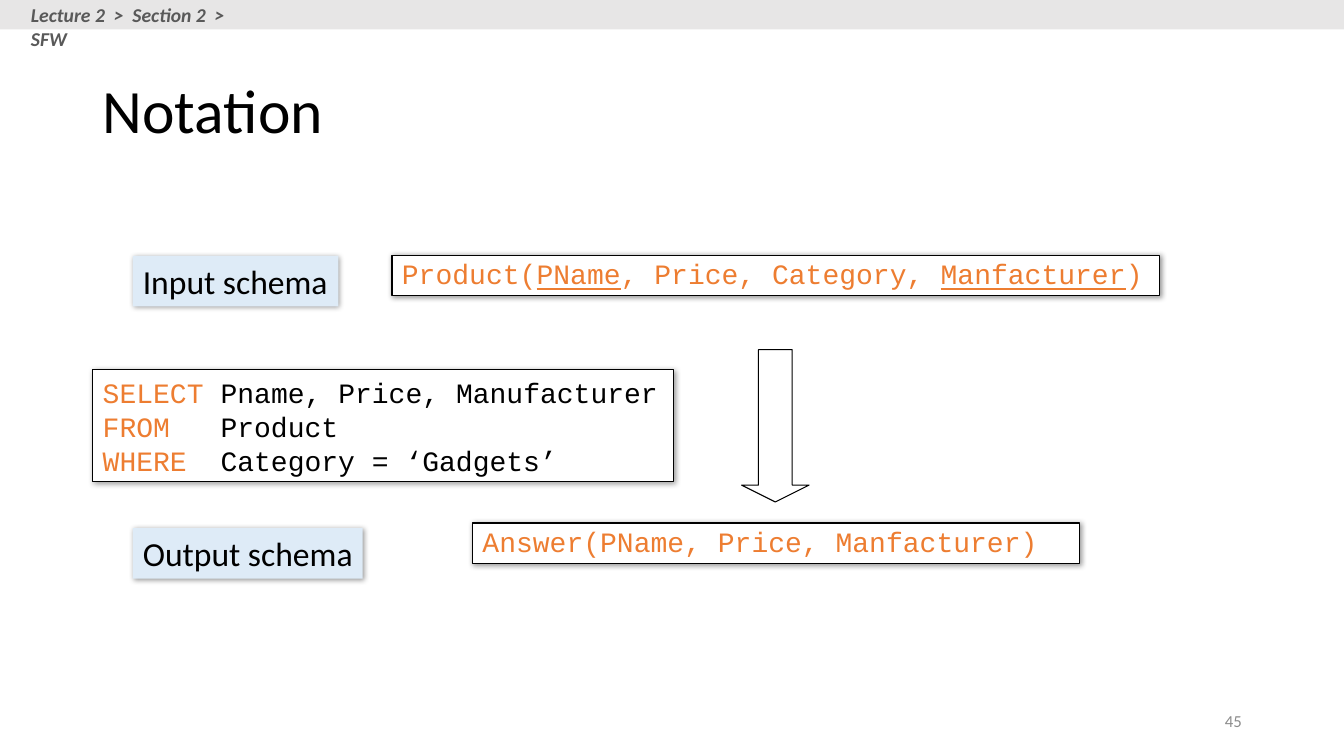
from lxml.etree import SubElement
from pptx import Presentation
from pptx.dml.color import RGBColor
from pptx.enum.shapes import MSO_SHAPE
from pptx.enum.text import MSO_ANCHOR, PP_ALIGN
from pptx.oxml.ns import qn
from pptx.util import Cm, Pt

BLACK, WHITE, ORANGE = "000000", "FFFFFF", "ED7D31"
PALE_BLUE, BAR_GREY = "DEEBF7", "E7E6E6"
SANS, MONO = "Calibri", "Courier New"


def rgb(value):
    return RGBColor.from_string(value)


def write(sp, lines, fmt, wrap=True, anchor=MSO_ANCHOR.TOP, **para):
    """Fill sp; each line is a list of (text, format changes) runs."""
    tf = sp.text_frame
    tf.word_wrap = wrap
    tf.vertical_anchor = anchor
    for i, line in enumerate(lines):
        p = tf.add_paragraph() if i else tf.paragraphs[0]
        for name, value in {"alignment": PP_ALIGN.LEFT, **para}.items():
            setattr(p, name, value)
        for text, changes in line:
            r = p.add_run()
            r.text = text
            for name, value in {**fmt, **changes}.items():
                if name == "color":
                    r.font.color.rgb = rgb(value)
                else:
                    setattr(r.font, name, value)


def add_text(shapes, at, text, fmt, **options):
    sp = shapes.add_textbox(*map(Cm, at))
    write(sp, [[(text, {})]], fmt, **options)


def add_shape(shapes, kind, at, fill=None, line=None):
    sp = shapes.add_shape(kind, *map(Cm, at))
    sp.shadow.inherit = False
    if fill:
        sp.fill.solid()
        sp.fill.fore_color.rgb = rgb(fill)
    else:
        sp.fill.background()
    if line:
        sp.line.color.rgb = rgb(line)
        sp.line.width = Pt(0.75)
    else:
        sp.line.fill.background()
    return sp


def add_shadow(sp):
    """Cast a soft 40 % black shadow down and to the right."""
    effects = sp._element.spPr.find(qn("a:effectLst"))
    shadow = SubElement(effects, qn("a:outerShdw"), blurRad=str(Pt(4)),
                        dist=str(Pt(1)), dir=str(45 * 60000), algn="tl",
                        rotWithShape="0")
    color = SubElement(shadow, qn("a:srgbClr"), val=BLACK)
    SubElement(color, qn("a:alpha"), val="40000")


def add_code(shapes, at, lines, **options):
    sp = add_shape(shapes, MSO_SHAPE.RECTANGLE, at, WHITE, BLACK)
    add_shadow(sp)
    write(sp, lines, {"name": MONO, "size": Pt(20), "color": ORANGE}, **options)


def add_label(shapes, at, text):
    sp = add_shape(shapes, MSO_SHAPE.RECTANGLE, at, PALE_BLUE)
    add_shadow(sp)
    fmt = {"name": SANS, "size": Pt(24), "color": BLACK}
    write(sp, [[(text, {})]], fmt, wrap=False)


def main():
    prs = Presentation()
    prs.slide_width, prs.slide_height = Cm(33.87), Cm(19.05)
    shapes = prs.slides.add_slide(prs.slide_layouts[6]).shapes

    add_text(shapes, (23.93, 17.65, 7.62, 1.02), "45",
             {"name": SANS, "size": Pt(12), "color": "8C8C8C"},
             anchor=MSO_ANCHOR.MIDDLE, alignment=PP_ALIGN.RIGHT)
    add_text(shapes, (2.34, 1.02, 29.21, 3.68), "Notation",
             {"name": SANS, "size": Pt(44), "color": BLACK},
             anchor=MSO_ANCHOR.MIDDLE, line_spacing=0.9)
    add_shape(shapes, MSO_SHAPE.RECTANGLE, (0, 0, 33.87, 0.74), BAR_GREY)
    add_text(shapes, (0.53, -0.05, 6.45, 0.86), "Lecture 2  >  Section 2  >  SFW",
             {"name": SANS, "size": Pt(14), "color": "595959",
              "bold": True, "italic": True})

    arrow = add_shape(shapes, MSO_SHAPE.DOWN_ARROW, (18.69, 8.81, 1.7, 3.84),
                      line=BLACK)
    arrow.adjustments[0], arrow.adjustments[1] = 0.5, 0.25

    plain, key = {"color": BLACK}, {"underline": True}
    add_code(shapes, (2.34, 9.32, 14.63, 2.82), [
        [("SELECT ", {}), ("Pname, Price, Manufacturer", plain)],
        [("FROM ", {}), ("  Product", plain)],
        [("WHERE", {}), ("  Category = ‘Gadgets’", plain)],
    ], wrap=False, line_spacing=Pt(24.4))
    add_code(shapes, (9.88, 6.43, 19.35, 1.02), [
        [("Product(", {}), ("PName", key), (", Price, Category, ", {}),
         ("Manfacturer", key), (")", {})],
    ], line_spacing=0.9)
    add_code(shapes, (11.91, 13.18, 15.29, 1.02),
             [[("Answer(PName, Price, Manfacturer)", {})]], line_spacing=0.9)

    add_label(shapes, (3.35, 6.45, 5.18, 1.27), "Input schema")
    add_label(shapes, (3.35, 13.31, 5.79, 1.27), "Output schema")
    prs.save("out.pptx")


if __name__ == "__main__":
    main()
